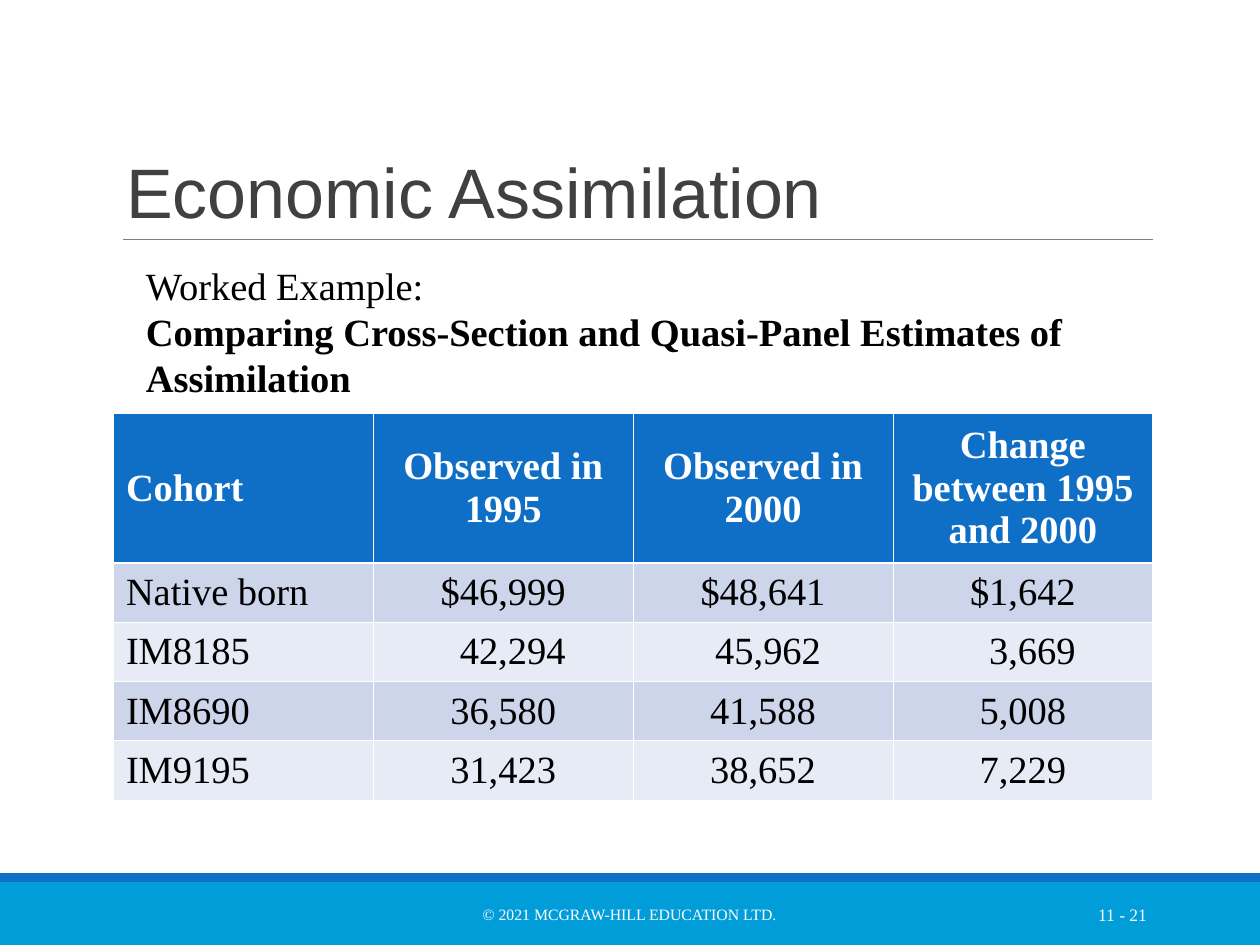
from dataclasses import dataclass, field

import pptx
import pptx.dml.color
import pptx.enum.shapes
import pptx.enum.text
import pptx.oxml
import pptx.oxml.ns
import pptx.util

Inches = pptx.util.Inches
Pt = pptx.util.Pt
Align = pptx.enum.text.PP_ALIGN
Anchor = pptx.enum.text.MSO_ANCHOR
NS = pptx.oxml.ns.nsdecls("a")


@dataclass(frozen=True)
class Theme:
    white: str = "FFFFFF"
    black: str = "000000"
    grey: str = "404040"
    rule: str = "7F7F7F"
    blue: str = "0F6FC6"
    sky: str = "009DD9"
    bands: tuple = ("CCD5EA", "E7EBF5")
    serif: str = "Times New Roman"
    sans: str = "Arial"
    head: int = 40
    text: int = 22
    page: int = 10
    foot: int = 9
    thin: float = 0.45
    thick: float = 1.47


THEME = Theme()


@dataclass
class Label:
    box: tuple
    lines: list
    size: int
    color: str
    format: dict = field(default_factory=dict)
    align: object = Align.LEFT
    anchor: object = Anchor.TOP


@dataclass
class Band:
    box: tuple
    color: str


def rgb(code: str):
    return pptx.dml.color.RGBColor.from_string(code)


def put(item, values: dict) -> None:
    for name, value in values.items():
        setattr(item, name, value)


def style(part, size: int, color: str, face: str = THEME.serif, bold: bool = False) -> None:
    put(part.font, {"name": face, "size": Pt(size), "bold": bold})
    part.font.color.rgb = rgb(color)


def place(shape, box: tuple) -> None:
    put(shape, dict(zip(("left", "top", "width", "height"), map(Inches, box))))


def draw_band(slide, band: Band) -> None:
    kind = pptx.enum.shapes.MSO_SHAPE.RECTANGLE
    shape = slide.shapes.add_shape(kind, *map(Inches, band.box))
    shape.shadow.inherit = False
    shape.fill.solid()
    shape.fill.fore_color.rgb = rgb(band.color)
    shape.line.fill.background()


def draw_rule(slide, left: float, right: float, top: float) -> None:
    kind = pptx.enum.shapes.MSO_CONNECTOR.STRAIGHT
    line = slide.shapes.add_connector(kind, *map(Inches, (left, top, right, top)))
    line.line.color.rgb = rgb(THEME.rule)
    line.line.width = Pt(0.5)
    line._element.spPr.append(pptx.oxml.parse_xml(f"<a:effectLst {NS}/>"))


def draw_label(slide, label: Label) -> None:
    frame = slide.shapes.add_textbox(*map(Inches, label.box)).text_frame
    put(frame, {"word_wrap": True, "vertical_anchor": label.anchor})
    for i, (text, bold) in enumerate(label.lines):
        para = frame.add_paragraph() if i else frame.paragraphs[0]
        para.alignment = label.align
        run = para.add_run()
        run.text = text
        style(run, label.size, label.color, bold=bold)


def draw_title(slide, text: str) -> None:
    title = slide.shapes.title
    place(title, (0.9, 0.31, 8.25, 1.59))
    frame = title.text_frame
    put(frame, {"text": text, "vertical_anchor": Anchor.BOTTOM, "word_wrap": True,
                "auto_size": pptx.enum.text.MSO_AUTO_SIZE.NONE})
    para = frame.paragraphs[0]
    put(para, {"alignment": Align.LEFT, "line_spacing": 0.85})
    style(para.runs[0], THEME.head, THEME.grey, THEME.sans)


def edge(cell, side: str, width: float) -> None:
    cell._tc.get_or_add_tcPr().append(pptx.oxml.parse_xml(
        f'<a:ln{side} {NS} w="{int(Pt(width))}"><a:solidFill>'
        f'<a:srgbClr val="{THEME.white}"/></a:solidFill></a:ln{side}>'))


def fill_cell(cell, text: str, row: int, col: int, shift: float) -> None:
    head = row == 0
    put(cell, {"text": text, "vertical_anchor": Anchor.MIDDLE,
               "margin_left": Inches(0.1 + shift), "margin_right": Inches(0.1)})
    for side in "LRTB":
        heavy = (row, side) in ((0, "B"), (1, "T"))
        edge(cell, side, THEME.thick if heavy else THEME.thin)
    cell.fill.solid()
    cell.fill.fore_color.rgb = rgb(THEME.blue if head else THEME.bands[(row - 1) % 2])
    para = cell.text_frame.paragraphs[0]
    para.alignment = Align.CENTER if col else Align.LEFT
    style(para.runs[0], THEME.text, THEME.white if head else THEME.black, bold=head)


def draw_table(slide, rows: list, shifts: dict) -> None:
    box = map(Inches, (0.9, 3.28, 8.25, 3.07))
    table = slide.shapes.add_table(len(rows), len(rows[0]), *box).table
    for r, texts in enumerate(rows):
        table.rows[r].height = Inches(0.47 if r else 1.19)
        for c, text in enumerate(texts):
            fill_cell(table.cell(r, c), text, r, c, shifts.get((r, c), 0))


BANDS = [Band((0, 7, 10, 0.5), THEME.sky), Band((0, 6.93, 10, 0.07), THEME.blue)]

ROWS = [
    ["Cohort", "Observed in 1995", "Observed in 2000", "Change between 1995 and 2000"],
    ["Native born", "$46,999", "$48,641", "$1,642"],
    ["IM8185", "42,294", "45,962", "3,669"],
    ["IM8690", "36,580", "41,588", "5,008"],
    ["IM9195", "31,423", "38,652", "7,229"],
]
# Extra left margin that sets these figures a little to the right
SHIFTS = {(2, 1): 0.15, (2, 2): 0.08, (2, 3): 0.15}

LABELS = [
    Label((3.02, 7.06, 3.95, 0.4), [("© 2021 MCGRAW-HILL EDUCATION LTD.", False)],
          THEME.foot, THEME.white, align=Align.CENTER, anchor=Anchor.MIDDLE),
    Label((8.12, 7.06, 1.08, 0.4), [("11 - 21", False)],
          THEME.page, THEME.white, align=Align.RIGHT, anchor=Anchor.MIDDLE),
    Label((1.06, 2.03, 8.04, 1.2),
          [("Worked Example:", False),
           ("Comparing Cross-Section and Quasi-Panel Estimates of Assimilation", True)],
          THEME.text, THEME.black),
]


def main() -> None:
    deck = pptx.Presentation()
    put(deck, {"slide_width": Inches(10), "slide_height": Inches(7.5)})
    slide = deck.slides.add_slide(deck.slide_layouts[5])

    # Footer bands and the rule under the title
    for band in BANDS:
        draw_band(slide, band)
    draw_rule(slide, 0.98, 9.15, 1.9)

    # Title, table and text
    draw_title(slide, "Economic Assimilation")
    draw_table(slide, ROWS, SHIFTS)
    for label in LABELS:
        draw_label(slide, label)

    deck.save("out.pptx")


if __name__ == "__main__":
    main()
